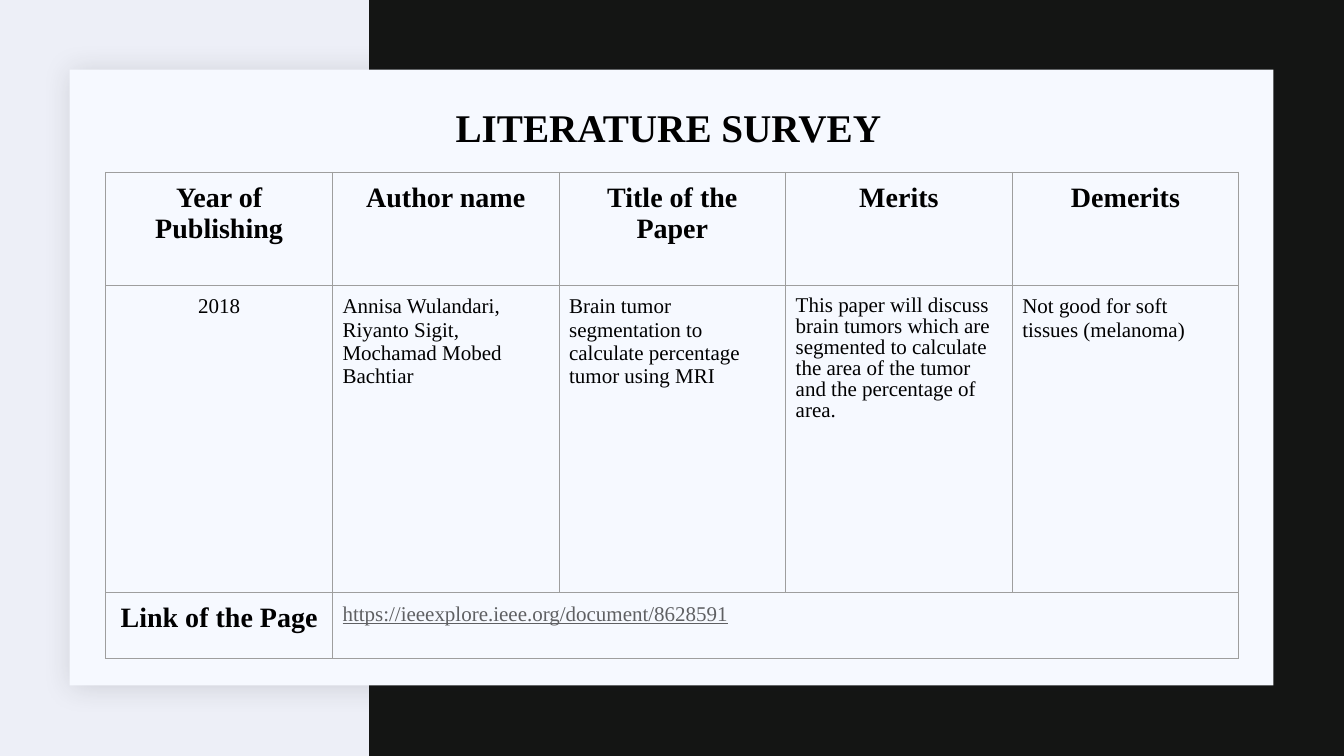
from lxml.etree import SubElement
from pptx import Presentation
from pptx.dml.color import RGBColor
from pptx.enum.shapes import MSO_SHAPE
from pptx.enum.text import MSO_AUTO_SIZE, PP_ALIGN as Align
from pptx.oxml import parse_xml
from pptx.oxml.ns import nsdecls, qn
from pptx.util import Inches, Pt

BACKDROP = RGBColor(0xED, 0xEF, 0xF7)
DARK = RGBColor(0x14, 0x15, 0x14)
CARD = RGBColor(0xF6, 0xF9, 0xFF)
BLACK = RGBColor(0, 0, 0)
LINK_GREY = RGBColor(0x5F, 0x60, 0x63)
BORDER = RGBColor(0x9E, 0x9E, 0x9E)
SHADOW = RGBColor(0x1F, 0x21, 0x25)

TABLE_LEFT, TABLE_TOP = 7.88, 22.8
COLUMN = 16.86
HEADER_ROW, PAPER_ROW, LINK_ROW = 14.93, 40.67, 8.67

HEADERS = ["Year of Publishing", "Author name", "Title of the Paper", "Merits", "Demerits"]
PAPER = [
    "2018",
    "Annisa Wulandari, Riyanto Sigit, Mochamad Mobed Bachtiar",
    "Brain tumor segmentation to calculate percentage tumor using MRI",
    "This paper will discuss brain tumors which are segmented to calculate "
    "the area of the tumor and the percentage of area.",
    "Not good for soft tissues (melanoma)",
]
LINK = "https://ieeexplore.ieee.org/document/8628591"


class SurveySlide:
    """Draws on one slide; lengths are percentages of its width or height."""

    font_name = "Times New Roman"
    inset = Inches(0.1)

    def __init__(self, deck):
        self.width, self.height = deck.slide_width, deck.slide_height
        self.slide = deck.slides.add_slide(deck.slide_layouts[6])
        self.slide.background.fill.solid()
        self.slide.background.fill.fore_color.rgb = BACKDROP

    def across(self, share):
        return round(self.width * share / 100)

    def down(self, share):
        return round(self.height * share / 100)

    def place(self, left, top, width, height):
        return self.across(left), self.down(top), self.across(width), self.down(height)

    def panel(self, area, color):
        panel = self.slide.shapes.add_shape(MSO_SHAPE.RECTANGLE, *self.place(*area))
        panel.shadow.inherit = False
        panel.fill.solid()
        panel.fill.fore_color.rgb = color
        panel.line.fill.background()
        return panel

    def soft_shadow(self, panel):
        effects = panel._element.spPr.find(qn("a:effectLst"))
        effects.append(parse_xml(
            f'<a:outerShdw {nsdecls("a")} blurRad="{Pt(20)}" dist="{Pt(2)}" '
            f'dir="{45 * 60000}" algn="ctr" rotWithShape="0">'
            f'<a:srgbClr val="{SHADOW}"><a:alpha val="15000"/></a:srgbClr></a:outerShdw>'))

    def add_text(self, frame, text, size, bold=False, align=Align.LEFT,
                 color=BLACK, underline=None, spacing=None):
        paragraph = frame.paragraphs[0]
        paragraph.alignment = align
        paragraph.line_spacing = spacing
        run = paragraph.add_run()
        run.text = text
        font = run.font
        font.name, font.size, font.bold = self.font_name, Pt(size), bold
        font.underline = underline
        font.color.rgb = color

    def title(self, area, text):
        frame = self.slide.shapes.add_textbox(*self.place(*area)).text_frame
        frame.word_wrap = True
        frame.auto_size = MSO_AUTO_SIZE.SHAPE_TO_FIT_TEXT
        frame.margin_left = frame.margin_right = self.inset
        frame.margin_top = frame.margin_bottom = self.inset
        self.add_text(frame, text, 28, bold=True, align=Align.CENTER)

    def table(self, left, top, columns, rows):
        grid = self.slide.shapes.add_table(
            len(rows), len(columns), *self.place(left, top, sum(columns), sum(rows))).table
        grid.first_row = grid.horz_banding = False
        for column, share in zip(grid.columns, columns):
            column.width = self.across(share)
        for row, share in zip(grid.rows, rows):
            row.height = self.down(share)
        for cell in grid.iter_cells():
            self.outline(cell)
            cell.fill.background()
            cell.margin_left = cell.margin_right = self.inset
            cell.margin_top = cell.margin_bottom = self.inset
        return grid

    def outline(self, cell):
        properties = cell._tc.get_or_add_tcPr()
        for side in ("lnL", "lnR", "lnT", "lnB"):
            line = SubElement(properties, qn(f"a:{side}"), w=str(Pt(0.75)))
            fill = SubElement(line, qn("a:solidFill"))
            SubElement(fill, qn("a:srgbClr"), val=str(BORDER))

    def heading(self, cell, text):
        self.add_text(cell.text_frame, text, 20, bold=True, align=Align.CENTER)

    def entry(self, cell, text, **style):
        self.add_text(cell.text_frame, text, 15, **style)


def main():
    deck = Presentation()
    deck.slide_width, deck.slide_height = Inches(13.33), Inches(7.5)
    survey = SurveySlide(deck)

    survey.panel((27.46, 0, 72.54, 100), DARK)
    card = survey.panel((5.18, 9.2, 89.57, 81.47), CARD)
    survey.soft_shadow(card)
    survey.title((6.45, 12.27, 87.17, 8.93), "LITERATURE SURVEY ")

    papers = survey.table(TABLE_LEFT, TABLE_TOP, [COLUMN] * len(HEADERS),
                          [HEADER_ROW, PAPER_ROW])
    entry_styles = [{"align": Align.CENTER}, {}, {}, {"spacing": 0.91}, {}]
    for index, (header, detail, style) in enumerate(zip(HEADERS, PAPER, entry_styles)):
        survey.heading(papers.cell(0, index), header)
        survey.entry(papers.cell(1, index), detail, **style)

    link = survey.table(TABLE_LEFT, TABLE_TOP + HEADER_ROW + PAPER_ROW,
                        [COLUMN, COLUMN * (len(HEADERS) - 1)], [LINK_ROW])
    survey.heading(link.cell(0, 0), "Link of the Page")
    survey.entry(link.cell(0, 1), LINK, color=LINK_GREY, underline=True)

    deck.save("out.pptx")


if __name__ == "__main__":
    main()
